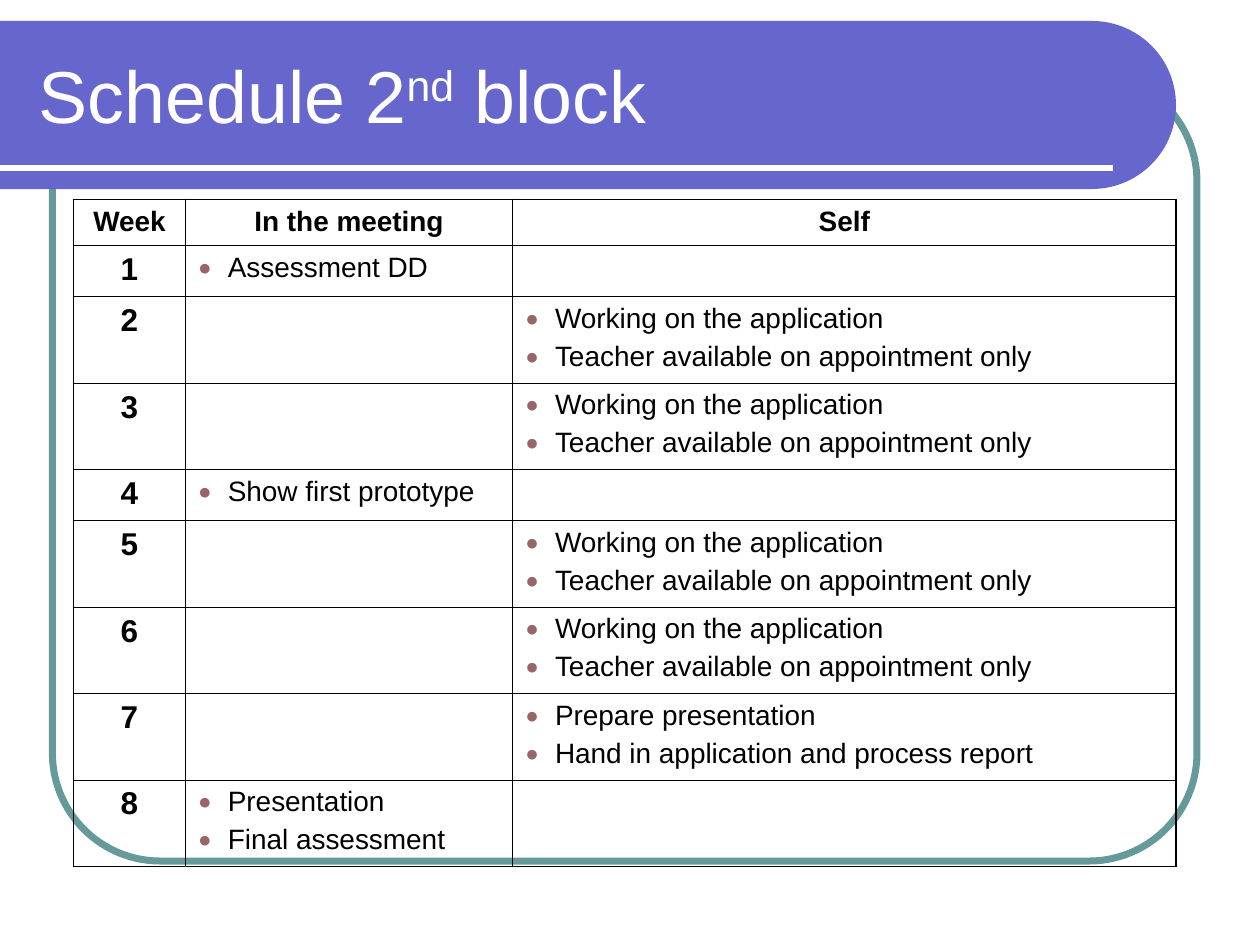
"""Build the slide with the weekly schedule of the second block."""
import math

from lxml import etree
from pptx import Presentation
from pptx.dml.color import RGBColor
from pptx.enum import shapes, text
from pptx.oxml.ns import qn
from pptx.util import Pt

TITLE = [("Schedule 2", 0), ("nd", 30000), (" block", 0)]
HEADINGS = ["Week", "In the meeting", "Self"]
WORKING = ["Working on the application", "Teacher available on appointment only"]
WEEKS = [
    (["Assessment DD"], []),
    ([], WORKING),
    ([], WORKING),
    (["Show first prototype"], []),
    ([], WORKING),
    ([], WORKING),
    ([], ["Prepare presentation", "Hand in application and process report"]),
    (["Presentation", "Final assessment"], []),
]

FONT = "Arial"
WHITE = RGBColor(0xFF, 0xFF, 0xFF)
BLACK = RGBColor(0x00, 0x00, 0x00)
VIOLET = RGBColor(0x66, 0x66, 0xCC)
TEAL = RGBColor(0x66, 0x99, 0x99)
BULLET_COLOR = RGBColor(0x99, 0x66, 0x66)

COLUMN_WIDTHS = [64, 187, 379]
HEADING_HEIGHT = 26.4
WEEK_HEIGHTS = {1: 28.8, 2: 49.4}
OUTER, INNER = 1.08, 0.45
BULLET_INDENT = 17


def add_child(parent, tag, **attributes):
    child = etree.SubElement(parent, qn(tag))
    for name, value in attributes.items():
        child.set(name, str(value))
    return child


def style_font(font, size, color, bold=False):
    font.name, font.size, font.bold = FONT, Pt(size), bold
    font.color.rgb = color


def add_frame(slide):
    frame = slide.shapes.add_shape(
        shapes.MSO_SHAPE.ROUNDED_RECTANGLE, Pt(30), Pt(42), Pt(654), Pt(450))
    frame.adjustments[0] = 0.137
    frame.shadow.inherit = False
    frame.fill.background()
    frame.line.color.rgb = TEAL
    frame.line.width = Pt(4)


def add_banner(slide):
    top, radius, arc_x = 12, 48, 624
    arc = []
    for degrees in range(-90, 91, 3):
        angle = math.radians(degrees)
        arc.append((Pt(arc_x + radius * math.cos(angle)),
                    Pt(top + radius + radius * math.sin(angle))))
    outline = slide.shapes.build_freeform(0, Pt(top))
    outline.add_line_segments(arc + [(0, Pt(top + 2 * radius))], close=True)
    banner = outline.convert_to_shape()
    banner.shadow.inherit = False
    banner.fill.solid()
    banner.fill.fore_color.rgb = VIOLET
    banner.line.fill.background()

    rule = slide.shapes.add_connector(
        shapes.MSO_CONNECTOR.STRAIGHT, 0, Pt(96), Pt(636), Pt(96))
    rule.line.color.rgb = WHITE
    rule.line.width = Pt(3)
    add_child(rule._element.spPr, "a:effectLst")


def place_title(slide):
    title = slide.shapes.title
    slide.shapes._spTree.append(title._element)
    title.left, title.top, title.width, title.height = Pt(15), Pt(18), Pt(631.5), Pt(72)
    frame = title.text_frame
    frame.auto_size = text.MSO_AUTO_SIZE.NONE
    frame.vertical_anchor = text.MSO_ANCHOR.MIDDLE
    paragraph = frame.paragraphs[0]
    paragraph.alignment = text.PP_ALIGN.LEFT
    for words, baseline in TITLE:
        run = paragraph.add_run()
        run.text = words
        style_font(run.font, 42, WHITE)
        if baseline:
            run.font._element.set("baseline", str(baseline))


def set_borders(cell, widths):
    properties = cell._tc.get_or_add_tcPr()
    for side, width in widths.items():
        line = add_child(properties, f"a:ln{side}", w=Pt(width))
        add_child(add_child(line, "a:solidFill"), "a:srgbClr", val=BLACK)
    cell.fill.background()


def add_bullet(paragraph):
    properties = paragraph._p.get_or_add_pPr()
    properties.set("marL", str(Pt(BULLET_INDENT)))
    properties.set("indent", str(-Pt(BULLET_INDENT)))
    add_child(add_child(properties, "a:buClr"), "a:srgbClr", val=BULLET_COLOR)
    add_child(properties, "a:buSzPct", val=80000)
    add_child(properties, "a:buFont", typeface=FONT)
    add_child(properties, "a:buChar", char="●")


def fill_centered(cell, words, size):
    cell.text_frame.text = words
    paragraph = cell.text_frame.paragraphs[0]
    paragraph.alignment = text.PP_ALIGN.CENTER
    style_font(paragraph.runs[0].font, size, BLACK, bold=True)


def fill_bullets(cell, items):
    if not items:
        return
    cell.text_frame.text = "\n".join(items)
    for index, paragraph in enumerate(cell.text_frame.paragraphs):
        add_bullet(paragraph)
        if index:
            paragraph.space_before = Pt(4)
        style_font(paragraph.runs[0].font, 16, BLACK)


def add_schedule(slide):
    heights = [HEADING_HEIGHT] + [
        WEEK_HEIGHTS[max(len(meeting), len(own))] for meeting, own in WEEKS]
    schedule = slide.shapes.add_table(
        len(heights), len(HEADINGS), Pt(42), Pt(114),
        Pt(sum(COLUMN_WIDTHS)), Pt(sum(heights))).table
    schedule.first_row = schedule.horz_banding = False
    for column, width in zip(schedule.columns, COLUMN_WIDTHS):
        column.width = Pt(width)
    for row, height in zip(schedule.rows, heights):
        row.height = Pt(height)

    last_row, last_column = len(heights) - 1, len(HEADINGS) - 1
    for r in range(len(heights)):
        for c in range(len(HEADINGS)):
            edges = {"L": c == 0, "R": c == last_column, "T": r == 0, "B": r == last_row}
            set_borders(schedule.cell(r, c), {
                side: OUTER if is_outer else INNER for side, is_outer in edges.items()})

    for c, heading in enumerate(HEADINGS):
        fill_centered(schedule.cell(0, c), heading, 16)
    for week, (meeting, own) in enumerate(WEEKS, start=1):
        fill_centered(schedule.cell(week, 0), str(week), 18)
        fill_bullets(schedule.cell(week, 1), meeting)
        fill_bullets(schedule.cell(week, 2), own)


def main():
    deck = Presentation()
    deck.slide_width, deck.slide_height = Pt(720), Pt(540)
    slide = deck.slides.add_slide(deck.slide_layouts[5])
    add_frame(slide)
    add_banner(slide)
    place_title(slide)
    add_schedule(slide)
    deck.save("out.pptx")


if __name__ == "__main__":
    main()
